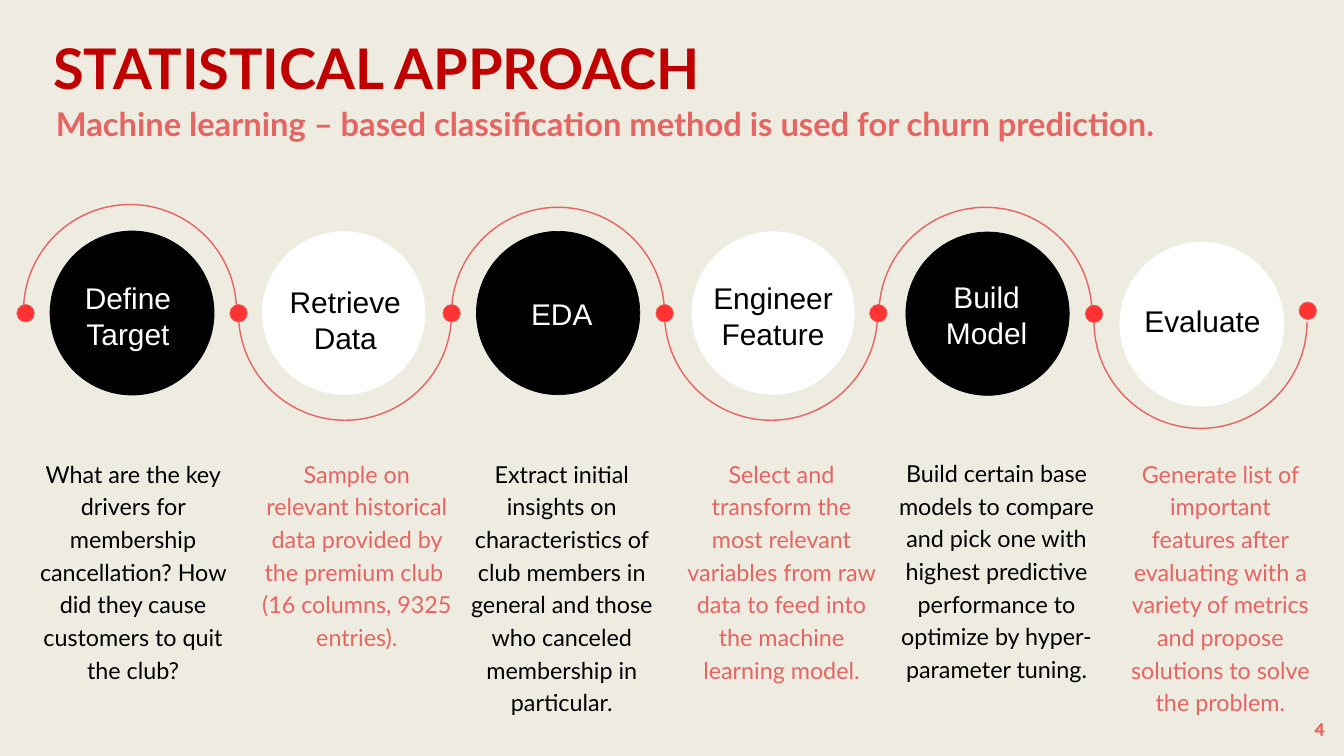
import lxml.etree
import pptx
import pptx.dml.color
import pptx.enum.shapes
import pptx.enum.text
import pptx.oxml.ns
import pptx.util

Pt = pptx.util.Pt
RGBColor = pptx.dml.color.RGBColor
ALIGN = pptx.enum.text.PP_ALIGN
OVAL = pptx.enum.shapes.MSO_SHAPE.OVAL
qn = pptx.oxml.ns.qn

CREAM = RGBColor(0xEE, 0xEC, 0xE1)
CRIMSON = RGBColor(0xC0, 0x00, 0x00)
CORAL = RGBColor(0xE6, 0x64, 0x61)
RED = RGBColor(0xFF, 0x33, 0x31)
BLACK = RGBColor(0x00, 0x00, 0x00)
WHITE = RGBColor(0xFF, 0xFF, 0xFF)

CIRCLE = 175
RADIUS = 114.1
DOT = 18.8
BEND = 0.55

STEPS = [
    dict(circle=(54, 247.9), border=1.5, arc=(25.2, 333.2), label=(58.3, 292.7, 157.7),
         name=["Define Target"], body=(33.1, 487.7, 218.9, 247.7),
         text=["What are the key drivers for membership cancellation? "
               "How did they cause customers to quit the club?"]),
    dict(circle=(280.8, 247.9), border=0, arc=(255.6, 336.2), label=(293, 296.6, 154.1),
         name=["Retrieve", "Data"], body=(280.8, 487.7, 203, 212.4),
         text=["Sample on relevant historical data provided by the premium club ",
               "(16 columns, 9325 entries)."]),
    dict(circle=(510.5, 247.9), border=0.75, arc=(483.8, 336.2), label=(512.6, 309.2, 178.6),
         name=["EDA"], body=(492.5, 487.7, 218.9, 280.1),
         text=["Extract initial insights on characteristics of club members in general "
               "and those who canceled membership in particular."]),
    dict(circle=(740.9, 247.9), border=0, arc=(712.1, 336.2), label=(745.9, 292.7, 164.9),
         name=["Engineer", "Feature"], body=(735.8, 487.7, 203, 247.7),
         text=["Select and transform the most relevant variables from raw data "
               "to feed into the machine learning model."]),
    dict(circle=(970.6, 248.6), border=0.75, arc=(941.8, 336.2), label=(972.9, 291.2, 168.5),
         name=["Build Model"], body=(958.3, 487, 218.9, 247.7),
         text=["Build certain base models to compare and pick one with highest predictive "
               "performance to optimize by hyper-parameter tuning."]),
    dict(circle=(1200.2, 259.9), border=1.5, arc=(1172.2, 344.9), label=(1209.6, 317.5, 157.7),
         name=["Evaluate"], body=(1206, 487.7, 203, 283),
         text=["Generate list of important features after evaluating with a variety "
               "of metrics and propose solutions to solve the problem."]),
]
DOTS = [(18, 326.2), (246.2, 326.2), (474.5, 326.2), (702.7, 326.2),
        (931.7, 326.2), (1162.8, 326.9), (1391.8, 323.6)]

deck = pptx.Presentation()
deck.slide_width = Pt(1440)
deck.slide_height = Pt(810)
page = deck.slides.add_slide(deck.slide_layouts[6])
page.background.fill.solid()
page.background.fill.fore_color.rgb = CREAM


def add_text(place, lines, font, size, color, inset=(0, 0), bold=False,
             align=ALIGN.LEFT, spacing=None):
    box = page.shapes.add_textbox(*[Pt(length) for length in place])
    frame = box.text_frame
    frame.word_wrap = True
    frame.margin_left = frame.margin_right = Pt(inset[0])
    frame.margin_top = frame.margin_bottom = Pt(inset[1])
    for index, line in enumerate(lines):
        para = frame.add_paragraph() if index else frame.paragraphs[0]
        para.alignment = align
        if spacing:
            para.line_spacing = Pt(spacing)
        span = para.add_run()
        span.text = line
        span.font.name = font
        span.font.size = Pt(size)
        span.font.bold = bold
        span.font.color.rgb = color


def add_disc(left, top, size, fill, line, width):
    disc = page.shapes.add_shape(OVAL, Pt(left), Pt(top), Pt(size), Pt(size))
    disc.shadow.inherit = False
    disc.fill.solid()
    disc.fill.fore_color.rgb = fill
    if width:
        disc.line.color.rgb = line
        disc.line.width = Pt(width)
    else:
        disc.line.fill.background()


add_text((42.5, 21.4, 753, 77.8), ["STATISTICAL APPROACH"], "Lato", 60, CRIMSON,
         inset=(14.4, 14.4), bold=True)
add_text((59.8, 115.9, 1380, 38.2),
         ["Machine learning – based classification method is used for churn prediction."],
         "Lato", 35, CORAL, bold=True, spacing=37.8)

for number, step in enumerate(STEPS):
    dark = number % 2 == 0
    shade = BLACK if dark else WHITE
    add_disc(*step["circle"], CIRCLE, shade, shade, step["border"])

    left, middle = step["arc"]
    side = -1 if dark else 1
    builder = page.shapes.build_freeform(Pt(left), Pt(middle), scale=1.0)
    builder.add_line_segments([(Pt(left + RADIUS), Pt(middle + side * RADIUS)),
                               (Pt(left + 2 * RADIUS), Pt(middle))], close=False)
    arc = builder.convert_to_shape()
    arc.shadow.inherit = False
    arc.fill.background()
    arc.line.color.rgb = CORAL
    arc.line.width = Pt(1.5)

    base, peak = (RADIUS, 0) if dark else (0, RADIUS)
    shoulder = base + (peak - base) * BEND
    curves = [
        [(0, shoulder), (RADIUS * (1 - BEND), peak), (RADIUS, peak)],
        [(RADIUS * (1 + BEND), peak), (2 * RADIUS, shoulder), (2 * RADIUS, base)],
    ]
    for segment, curve in zip(list(arc.element.iter(qn("a:lnTo"))), curves):
        bezier = lxml.etree.Element(qn("a:cubicBezTo"))
        for x, y in curve:
            lxml.etree.SubElement(bezier, qn("a:pt"), x=str(int(Pt(x))), y=str(int(Pt(y))))
        segment.getparent().replace(segment, bezier)

for left, top in DOTS:
    add_disc(left, top, DOT, RED, CORAL, 0.75)

for number, step in enumerate(STEPS):
    dark = number % 2 == 0
    add_text((*step["label"], 67), step["name"], "Arial", 32,
             WHITE if dark else BLACK, inset=(7.2, 7.2), align=ALIGN.CENTER)
    add_text(step["body"], step["text"], "Lato", 25,
             BLACK if dark else CORAL, align=ALIGN.CENTER, spacing=35)

add_text((1260, 766.1, 167.8, 28.8), ["4"], "Quicksand", 20, CORAL,
         inset=(7.2, 3.6), bold=True, align=ALIGN.RIGHT)

deck.save("out.pptx")
